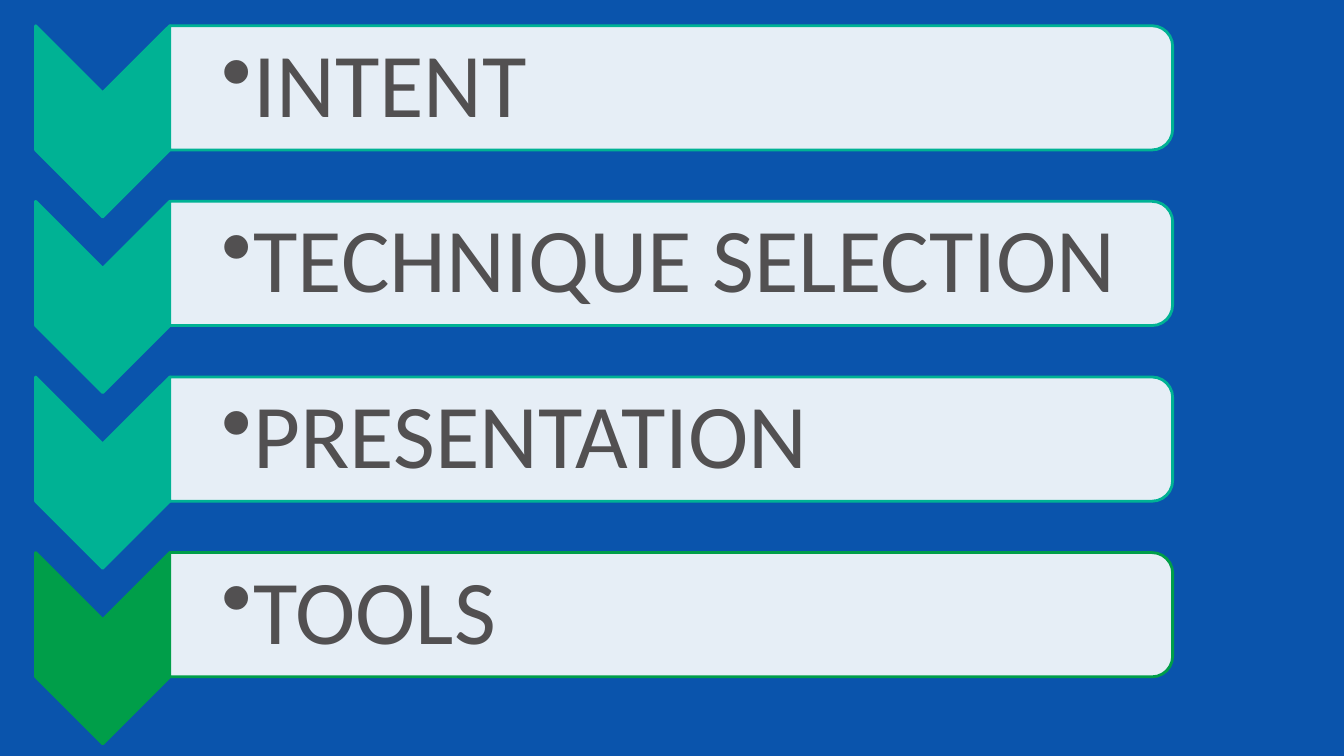
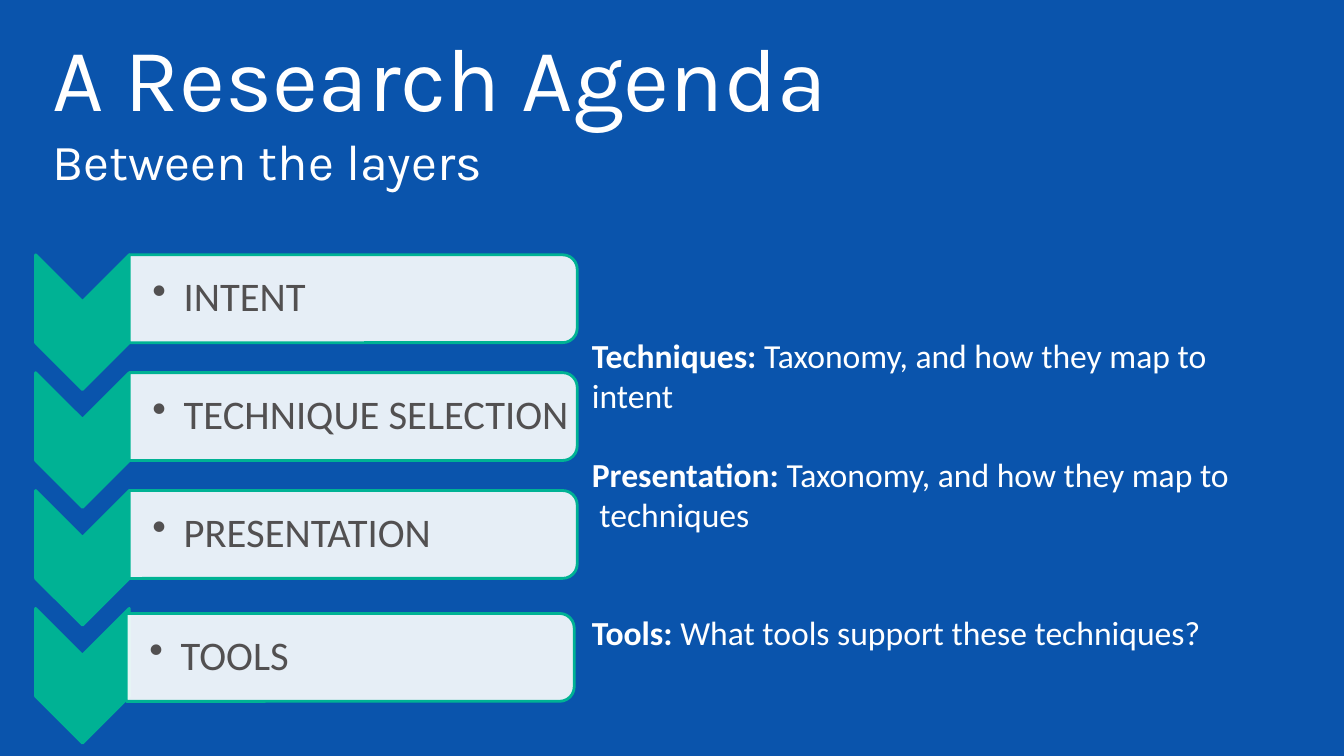
from dataclasses import dataclass

from lxml import etree
from pptx import Presentation
from pptx.dml.color import RGBColor
from pptx.enum.shapes import MSO_SHAPE
from pptx.enum.text import MSO_ANCHOR
from pptx.oxml.ns import qn
from pptx.util import Inches, Pt

CHEVRON = MSO_SHAPE.CHEVRON
END_ROUNDED_BAR = MSO_SHAPE.ROUND_2_SAME_RECTANGLE
MIDDLE = MSO_ANCHOR.MIDDLE
TOP = MSO_ANCHOR.TOP
SLIDE_WIDTH, SLIDE_HEIGHT = 13.33, 7.5
BLANK_LAYOUT = 6


@dataclass(frozen=True)
class Theme:
    """Colours, fonts and type sizes shared by the slides."""
    background: str = "0A54AC"
    teal: str = "00B294"
    green: str = "009E49"
    bar: str = "FFFFFF"
    bar_opacity: int = 90
    label: str = "525051"
    light: str = "FFFFFF"
    title_font: str = "Karla"
    body_font: str = "Calibri"
    title_size: int = 64
    subtitle_size: int = 36
    large_label_size: int = 65
    small_label_size: int = 29
    note_size: int = 24
    outline: int = 2
    bullet_indent: float = 0.31


@dataclass(frozen=True)
class Box:
    """A rectangle in inches."""
    left: float
    top: float
    width: float
    height: float

    def lengths(self):
        """Return the four lengths in slide units."""
        return [Inches(value) for value in (self.left, self.top, self.width, self.height)]

    def turned(self):
        """Return the box that covers this one after a quarter turn."""
        shift = (self.width - self.height) / 2
        return Box(self.left + shift, self.top - shift, self.height, self.width)


THEME = Theme()
STAGES = ("INTENT", "TECHNIQUE SELECTION", "PRESENTATION", "TOOLS")


def share(left, top, width, height):
    """Make a box from percentages of the slide's size."""
    across, down = SLIDE_WIDTH / 100, SLIDE_HEIGHT / 100
    return Box(left * across, top * down, width * across, height * down)


def apply_format(target, values):
    """Set each attribute named in a dict of format values."""
    for name, value in values.items():
        setattr(target, name, value)


def add_run(paragraph, text, size, font_name, colour, bold=False):
    """Add one formatted run."""
    run = paragraph.add_run()
    run.text = text
    apply_format(run.font, {"size": Pt(size), "name": font_name, "bold": bold})
    run.font.color.rgb = RGBColor.from_string(colour)


def add_text_box(slide, box, anchor, insets=(0.1, 0.05, 0.1, 0.05)):
    """Add a wrapping text box and return its first paragraph."""
    frame = slide.shapes.add_textbox(*box.lengths()).text_frame
    sides = ("margin_left", "margin_top", "margin_right", "margin_bottom")
    apply_format(frame, dict(zip(sides, map(Inches, insets))))
    apply_format(frame, {"word_wrap": True, "vertical_anchor": anchor})
    return frame.paragraphs[0]


def add_bullet(paragraph):
    """Give a paragraph a round bullet with a hanging indent."""
    properties = paragraph._p.get_or_add_pPr()
    indent = Inches(THEME.bullet_indent)
    properties.set("marL", str(indent))
    properties.set("indent", str(-indent))
    etree.SubElement(properties, qn("a:buChar"), char="•")


def add_turned_shape(slide, kind, box, fill, line):
    """Add a preset shape turned clockwise so that it covers the box."""
    shape = slide.shapes.add_shape(kind, *box.turned().lengths())
    shape.rotation = 90
    shape.shadow.inherit = False
    shape.fill.solid()
    shape.fill.fore_color.rgb = RGBColor.from_string(fill)
    shape.line.color.rgb = RGBColor.from_string(line)
    shape.line.width = Pt(THEME.outline)
    return shape


def add_stage(slide, box, chevron_width, bar_height, size, insets, colour, shift):
    """Draw one chevron with its labelled bar in the box."""
    chevron = Box(box.left, box.top, chevron_width, box.height)
    add_turned_shape(slide, CHEVRON, chevron, colour, colour)
    across, down = shift
    bar = Box(box.left + chevron_width + across, box.top + down,
              box.width - chevron_width, bar_height)
    shape = add_turned_shape(slide, END_ROUNDED_BAR, bar, THEME.bar, colour)
    fill_colour = shape._element.spPr.find(qn("a:solidFill"))[0]
    etree.SubElement(fill_colour, qn("a:alpha"), val=str(THEME.bar_opacity * 1000))
    margin = bar_height * 0.05
    label = Box(bar.left, bar.top + margin, bar.width - margin, bar_height - 2 * margin)
    paragraph = add_text_box(slide, label, MIDDLE, insets)
    add_bullet(paragraph)
    paragraph.line_spacing = 0.9
    return paragraph, size


def add_stage_list(slide, box, chevron_share, bar_share, size, insets,
                   last_colour=THEME.teal, last_shift=(0, 0)):
    """Stack the stages at an equal pitch down the box."""
    chevron_width = box.width * chevron_share
    bar_height = box.height * bar_share
    stage_height = bar_height + chevron_width / 2
    last = len(STAGES) - 1
    pitch = (box.height - stage_height) / last
    for index, name in enumerate(STAGES):
        stage = Box(box.left, box.top + index * pitch, box.width, stage_height)
        colour = last_colour if index == last else THEME.teal
        shift = last_shift if index == last else (0, 0)
        paragraph, label_size = add_stage(slide, stage, chevron_width, bar_height,
                                          size, insets, colour, shift)
        add_run(paragraph, name, label_size, THEME.body_font, THEME.label)


def add_title(slide, box, title, subtitle):
    """Place a title with a smaller second line."""
    paragraph = add_text_box(slide, box, MIDDLE)
    add_run(paragraph, title, THEME.title_size, THEME.title_font, THEME.light)
    paragraph.add_line_break()
    add_run(paragraph, subtitle, THEME.subtitle_size, THEME.title_font, THEME.light)


def add_note(slide, box, heading, *lines):
    """Place a bold heading followed by its text lines."""
    paragraph = add_text_box(slide, box, TOP)
    add_run(paragraph, heading, THEME.note_size, THEME.body_font, THEME.light, True)
    for index, line in enumerate(lines):
        if index:
            paragraph.add_line_break()
        add_run(paragraph, line, THEME.note_size, THEME.body_font, THEME.light)


def build_stages_slide(slide):
    """Fill the slide with the four stages."""
    add_stage_list(slide, share(2.65, 3.4, 84.6, 95), 0.118, 0.173,
                   THEME.large_label_size, (0.51, 0.05, 0.05, 0.05), THEME.green)


def build_agenda_slide(slide):
    """Set the stages beside the research questions."""
    add_stage_list(slide, share(2.65, 33.7, 40.3, 64.6), 0.173, 0.18,
                   THEME.small_label_size, (0.23, 0.02, 0.02, 0.02),
                   last_shift=(-0.03, 0.05))
    add_title(slide, share(3.15, 5.73, 90, 16.67),
              "A Research Agenda", "Between the layers")
    left, width, height = 43.3, 52, 12
    add_note(slide, share(left, 43.6, width, height),
             "Techniques: ", "Taxonomy, and how they map to intent")
    add_note(slide, share(left, 59.33, width, height),
             "Presentation: ", "Taxonomy, and how they map to", " techniques")
    add_note(slide, share(left, 80.27, width, height / 2),
             "Tools: ", "What tools support these techniques?")


def main():
    """Build and save the presentation."""
    presentation = Presentation()
    apply_format(presentation, {"slide_width": Inches(SLIDE_WIDTH),
                                "slide_height": Inches(SLIDE_HEIGHT)})
    background = presentation.slide_master.background.fill
    background.solid()
    background.fore_color.rgb = RGBColor.from_string(THEME.background)
    for build in (build_stages_slide, build_agenda_slide):
        build(presentation.slides.add_slide(presentation.slide_layouts[BLANK_LAYOUT]))
    presentation.save("out.pptx")


if __name__ == "__main__":
    main()
